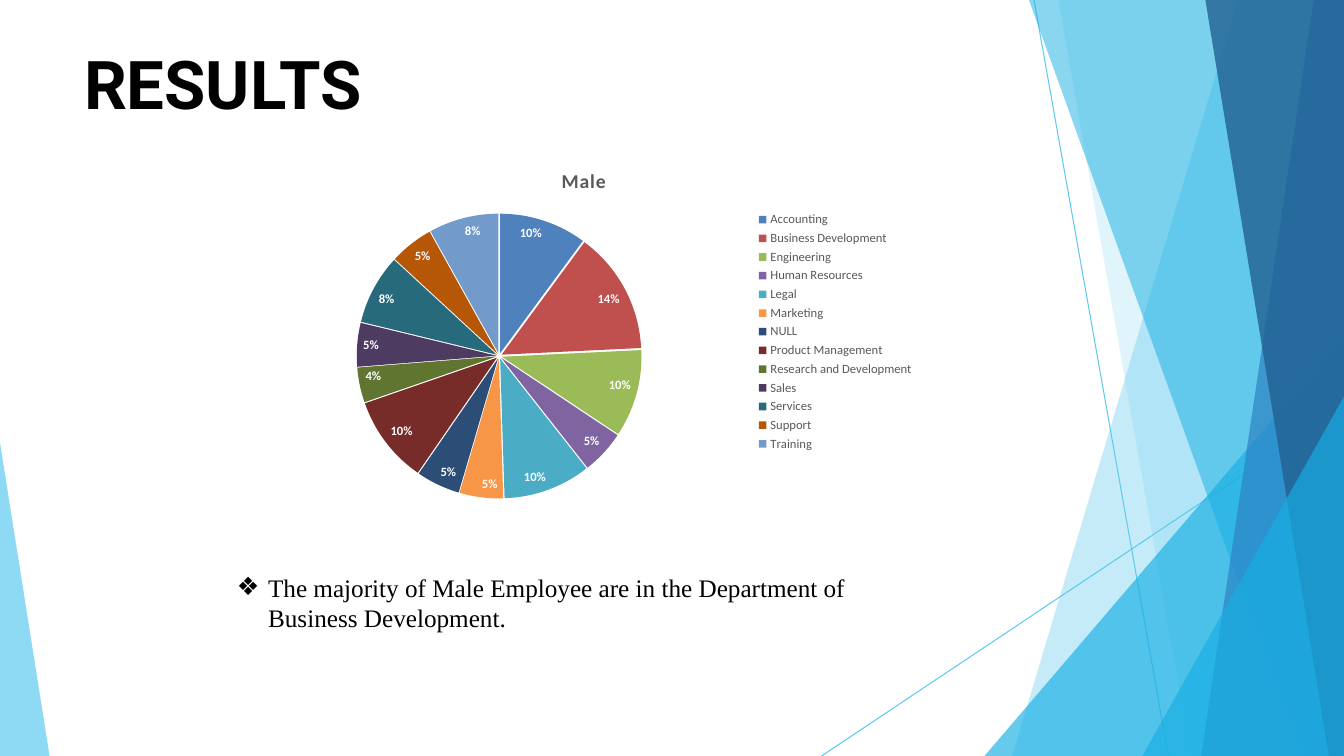
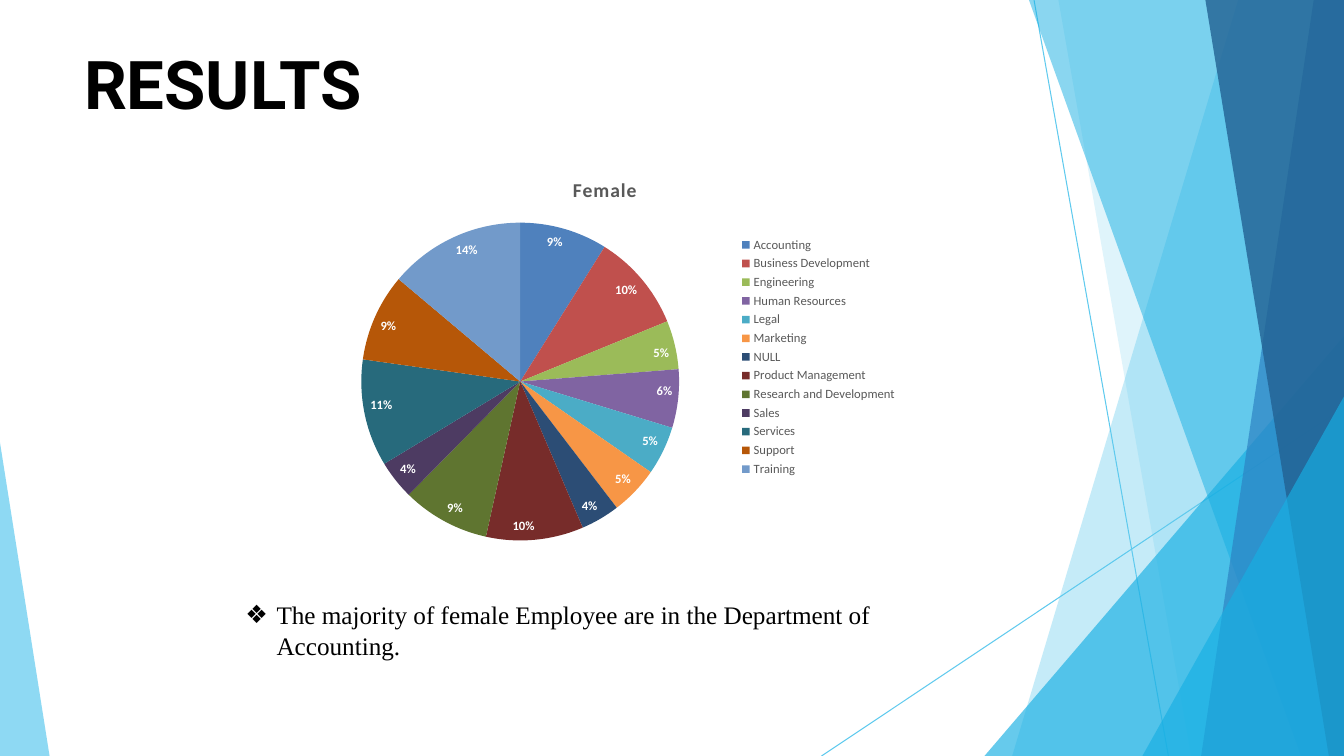
import pptx
import pptx.chart.data
import pptx.dml.color
import pptx.enum.chart
import pptx.enum.shapes
import pptx.enum.text
import pptx.oxml
import pptx.oxml.ns
import pptx.util

# The slide is a grid of square cells, twelve to the inch
COLUMNS, ROWS = 160, 90
CELL = pptx.util.Inches(1) / 12

SKY, AZURE, BLUE, NAVY = "5FCAEE", "17AFE3", "2D83C3", "226192"
BLACK, GREY, WHITE = "000000", "595959", "FFFFFF"

# Outlines of the side art: colour, opacity in percent, corners in cells
FACETS = [
    (SKY, 36, [(COLUMNS, 0), (147.4, 0), (120.5, ROWS), (COLUMNS, ROWS)]),
    (SKY, 20, [(COLUMNS, 0), (126, 0), (141.8, ROWS), (COLUMNS, ROWS)]),
    (AZURE, 66, [(COLUMNS, 40), (117.2, ROWS), (COLUMNS, ROWS)]),
    (AZURE, 50, [(COLUMNS, 0), (122.5, 0), (154.9, ROWS), (COLUMNS, ROWS)]),
    (BLUE, 70, [(COLUMNS, 0), (156.4, 0), (143, ROWS), (COLUMNS, ROWS)]),
    (NAVY, 80, [(COLUMNS, 0), (143.5, 0), (158.2, ROWS), (COLUMNS, ROWS)]),
    (AZURE, 66, [(COLUMNS, 47.2), (136, ROWS), (COLUMNS, ROWS)]),
    (SKY, 70, [(0, 52.7), (0, ROWS), (5.9, ROWS)]),
]
RAYS = [(123.1, 0, 139.1, ROWS), (COLUMNS, 48.5, 97.8, ROWS)]

# Departments and the colours of their slices
DEPARTMENTS = {
    "Accounting": "4F81BD",
    "Business Development": "C0504D",
    "Engineering": "9BBB59",
    "Human Resources": "8064A2",
    "Legal": "4BACC6",
    "Marketing": "F79646",
    "NULL": "2C4D75",
    "Product Management": "772C2A",
    "Research and Development": "5F7530",
    "Sales": "4D3B62",
    "Services": "276A7C",
    "Support": "B65708",
    "Training": "729ACA",
}

# One entry per slide; boxes are column, row, width and height
RESULTS = [
    {
        "group": "Male",
        "counts": [10, 14, 10, 5, 10, 5, 5, 10, 4, 5, 8, 5, 8],
        "pie_box": (29, 18, 81, 43),
        "explosion": 2,
        "finding": "The majority of Male Employee are in the Department of Business Development.",
        "finding_box": (27, 67.5, 80, 7.2),
    },
    {
        "group": "Female",
        "counts": [9, 10, 5, 6, 5, 5, 4, 10, 9, 4, 11, 9, 14],
        "pie_box": (36, 19, 72, 47),
        "explosion": 0,
        "finding": "The majority of female Employee are in the Department of Accounting.",
        "finding_box": (28, 70.8, 80, 7.2),
    },
]


def rgb(hex_text):
    return pptx.dml.color.RGBColor.from_string(hex_text)


def cells(*counts):
    return [pptx.util.Emu(round(count * CELL)) for count in counts]


def style(font, face, size, colour, bold=False):
    font.name, font.size, font.bold = face, pptx.util.Pt(size), bold
    font.color.rgb = rgb(colour)


class Deck:
    """Holds the shared style and the slide being filled."""

    def __init__(self):
        self.presentation = pptx.Presentation()
        self.presentation.slide_width, self.presentation.slide_height = cells(COLUMNS, ROWS)
        self.layout = self.presentation.slide_layouts[1]
        self.slide = None

    def new_slide(self):
        first = self.slide is None
        self.slide = self.presentation.slides.add_slide(self.layout)
        if first:
            self.dress_layout()

    def dress_layout(self):
        """Draw the side art once and move it to the back of the layout."""
        art = [self.ray(*ends) for ends in RAYS]
        art += [self.facet(*facet) for facet in FACETS]
        for depth, part in enumerate(art):
            part.element.xpath(".//p:cNvPr")[0].set("id", str(100 + depth))
            self.layout.shapes.element.insert(2 + depth, part.element)

    def ray(self, *ends):
        ray = self.slide.shapes.add_connector(
            pptx.enum.shapes.MSO_CONNECTOR.STRAIGHT, *cells(*ends))
        ray.line.color.rgb = rgb(SKY)
        ray.line.width = pptx.util.Pt(0.75)
        properties = ray.element.xpath("p:spPr")[0]
        properties.append(pptx.oxml.parse_xml(
            f"<a:effectLst {pptx.oxml.ns.nsdecls('a')}/>"))
        return ray

    def facet(self, colour, opacity, corners):
        start, *others = [cells(*corner) for corner in corners]
        outline = self.slide.shapes.build_freeform(*start, scale=1.0)
        outline.add_line_segments(others, close=True)
        facet = outline.convert_to_shape()
        facet.shadow.inherit = False
        facet.line.fill.background()
        facet.fill.solid()
        facet.fill.fore_color.rgb = rgb(colour)
        tint = facet.element.xpath("p:spPr/a:solidFill/a:srgbClr")[0]
        tint.append(pptx.oxml.parse_xml(
            f'<a:alpha {pptx.oxml.ns.nsdecls("a")} val="{opacity * 1000}"/>'))
        return facet

    def fill_placeholder(self, holder, box, text, *look):
        """Move a placeholder, write one styled run, return its paragraph."""
        holder.left, holder.top, holder.width, holder.height = cells(*box)
        frame = holder.text_frame
        frame.word_wrap = True
        frame.auto_size = pptx.enum.text.MSO_AUTO_SIZE.NONE
        frame.vertical_anchor = pptx.enum.text.MSO_ANCHOR.TOP
        paragraph = frame.paragraphs[0]
        paragraph.alignment = pptx.enum.text.PP_ALIGN.LEFT
        paragraph.space_before = pptx.util.Pt(0)
        run = paragraph.add_run()
        run.text = text
        style(run.font, *look)
        return paragraph

    def title(self, text):
        heading = self.slide.shapes.title
        self.fill_placeholder(heading, (10, 5, 140, 7.7), text, "Roboto", 48, BLACK, True)
        frame = heading.text_frame
        frame.margin_left = frame.margin_right = 0
        frame.margin_top = frame.margin_bottom = 0

    def finding(self, text, box):
        paragraph = self.fill_placeholder(
            self.slide.placeholders[1], box, text, "Times New Roman", 18, BLACK)
        indent = pptx.util.Inches(0.31)
        properties = paragraph.runs[0].font and paragraph._p.get_or_add_pPr()
        properties.set("marL", str(indent))
        properties.set("indent", str(-indent))
        properties.append(pptx.oxml.parse_xml(
            f'<a:buChar {pptx.oxml.ns.nsdecls("a")} char="❖"/>'))

    def pie(self, group, counts, box, explosion):
        data = pptx.chart.data.CategoryChartData()
        data.categories = list(DEPARTMENTS)
        data.add_series(group, counts)
        chart = self.slide.shapes.add_chart(
            pptx.enum.chart.XL_CHART_TYPE.PIE, *cells(*box), data).chart
        style(chart.font, "Calibri", 10, BLACK)

        # Heading with slightly spaced letters
        chart.has_title = True
        heading = chart.chart_title.text_frame.paragraphs[0].add_run()
        heading.text = group
        style(heading.font, "Calibri", 14, GREY, True)
        chart.element.xpath("c:chart/c:title//a:rPr")[0].set("spc", "50")

        # Legend
        chart.has_legend = True
        chart.legend.position = pptx.enum.chart.XL_LEGEND_POSITION.RIGHT
        chart.legend.include_in_layout = False
        style(chart.legend.font, "Calibri", 9, GREY)

        # Slices
        plot = chart.plots[0]
        plot.vary_by_categories = True
        for index, colour in enumerate(DEPARTMENTS.values()):
            fill = plot.series[0].points[index].format.fill
            fill.solid()
            fill.fore_color.rgb = rgb(colour)
        if explosion:
            chart.element.xpath("//c:ser/c:dPt")[0].addprevious(pptx.oxml.parse_xml(
                f'<c:explosion {pptx.oxml.ns.nsdecls("c")} val="{explosion}"/>'))

        # Percentages
        plot.has_data_labels = True
        labels = plot.data_labels
        labels.show_value, labels.show_percentage = False, True
        labels.number_format, labels.number_format_is_linked = "0%", False
        labels.position = pptx.enum.chart.XL_LABEL_POSITION.INSIDE_END
        style(labels.font, "Calibri", 9, WHITE, True)


def main():
    deck = Deck()
    for result in RESULTS:
        deck.new_slide()
        deck.title("RESULTS")
        deck.pie(result["group"], result["counts"], result["pie_box"], result["explosion"])
        deck.finding(result["finding"], result["finding_box"])
    deck.presentation.save("out.pptx")


if __name__ == "__main__":
    main()
